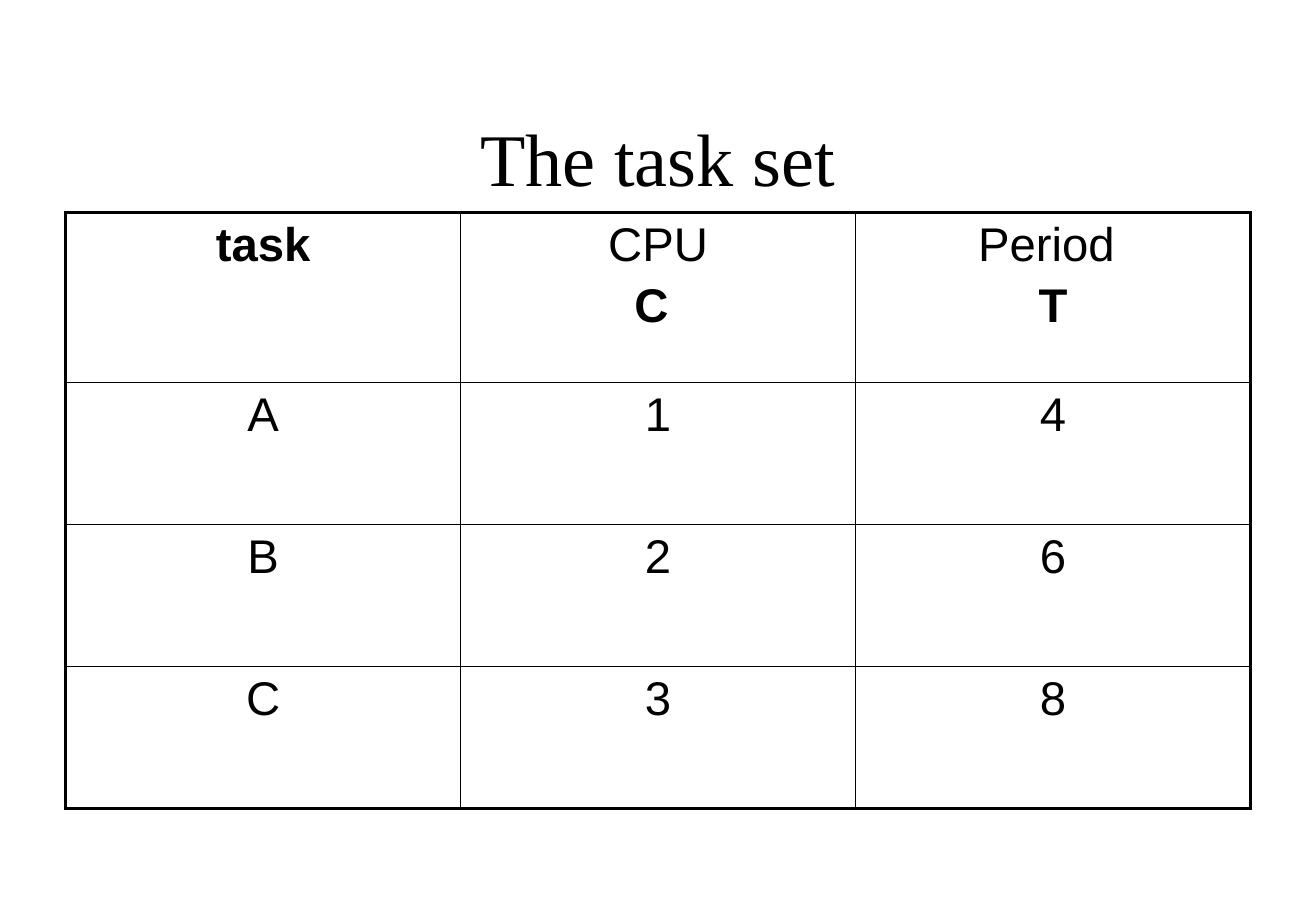
from lxml.etree import SubElement
from pptx import Presentation
from pptx.dml.color import RGBColor
from pptx.enum.text import MSO_ANCHOR, PP_ALIGN
from pptx.oxml.ns import qn
from pptx.util import Inches, Pt

TITLE = "The task set"
ROWS = [
    [["task"], ["CPU", "C "], ["Period ", "T"]],
    [["A"], ["1"], ["4"]],
    [["B"], ["2"], ["6"]],
    [["C"], ["3"], ["8"]],
]
BOLD = {"task", "C ", "T"}
ROW_HEIGHTS = [1.4, 1.17, 1.17, 1.17]
COL_WIDTH = 3.25
OUTER, INNER = Pt(2.25), Pt(1)
BLACK = RGBColor(0, 0, 0)


def format_paragraph(p, font, size, bold=False):
    p.alignment = PP_ALIGN.CENTER
    for r in p.runs:
        r.font.name, r.font.size, r.font.bold = font, Pt(size), bold
        r.font.color.rgb = BLACK


def set_border(cell, side, width):
    ln = SubElement(cell._tc.get_or_add_tcPr(), qn(f"a:ln{side}"), w=str(width))
    fill = SubElement(ln, qn("a:solidFill"))
    SubElement(fill, qn("a:srgbClr"), val=str(BLACK))


def add_title(s):
    title = s.shapes.title
    title.left, title.top = Inches(0.81), Inches(0.67)
    title.width, title.height = Inches(9.21), Inches(1.25)
    tf = title.text_frame
    tf.text = TITLE
    tf.vertical_anchor = MSO_ANCHOR.MIDDLE
    format_paragraph(tf.paragraphs[0], "Times New Roman", 44)


def fill_cell(cell, lines):
    cell.margin_left = cell.margin_right = Inches(0.11)
    cell.margin_top = cell.margin_bottom = Inches(0.05)
    cell.fill.background()
    tf = cell.text_frame
    for i, line in enumerate(lines):
        p = tf.add_paragraph() if i else tf.paragraphs[0]
        p.text = line
        p.space_before = Pt(5)
        format_paragraph(p, "Arial", 28, line in BOLD)


def add_task_table(s):
    n_rows, n_cols = len(ROWS), len(ROWS[0])
    table = s.shapes.add_table(
        n_rows, n_cols, Inches(0.54), Inches(1.75),
        Inches(COL_WIDTH * n_cols), Inches(sum(ROW_HEIGHTS))).table
    table.first_row = table.horz_banding = False
    for col in table.columns:
        col.width = Inches(COL_WIDTH)
    for r, (height, row) in enumerate(zip(ROW_HEIGHTS, ROWS)):
        table.rows[r].height = Inches(height)
        for c, lines in enumerate(row):
            cell = table.cell(r, c)
            on_edge = {"L": c == 0, "R": c == n_cols - 1,
                       "T": r == 0, "B": r == n_rows - 1}
            for side, outer in on_edge.items():
                set_border(cell, side, OUTER if outer else INNER)
            fill_cell(cell, lines)


def main():
    """Build the slide with the task set table."""
    prs = Presentation()
    prs.slide_width, prs.slide_height = Inches(10.83), Inches(7.5)
    s = prs.slides.add_slide(prs.slide_layouts[5])
    add_title(s)
    add_task_table(s)
    prs.save("out.pptx")


if __name__ == "__main__":
    main()
